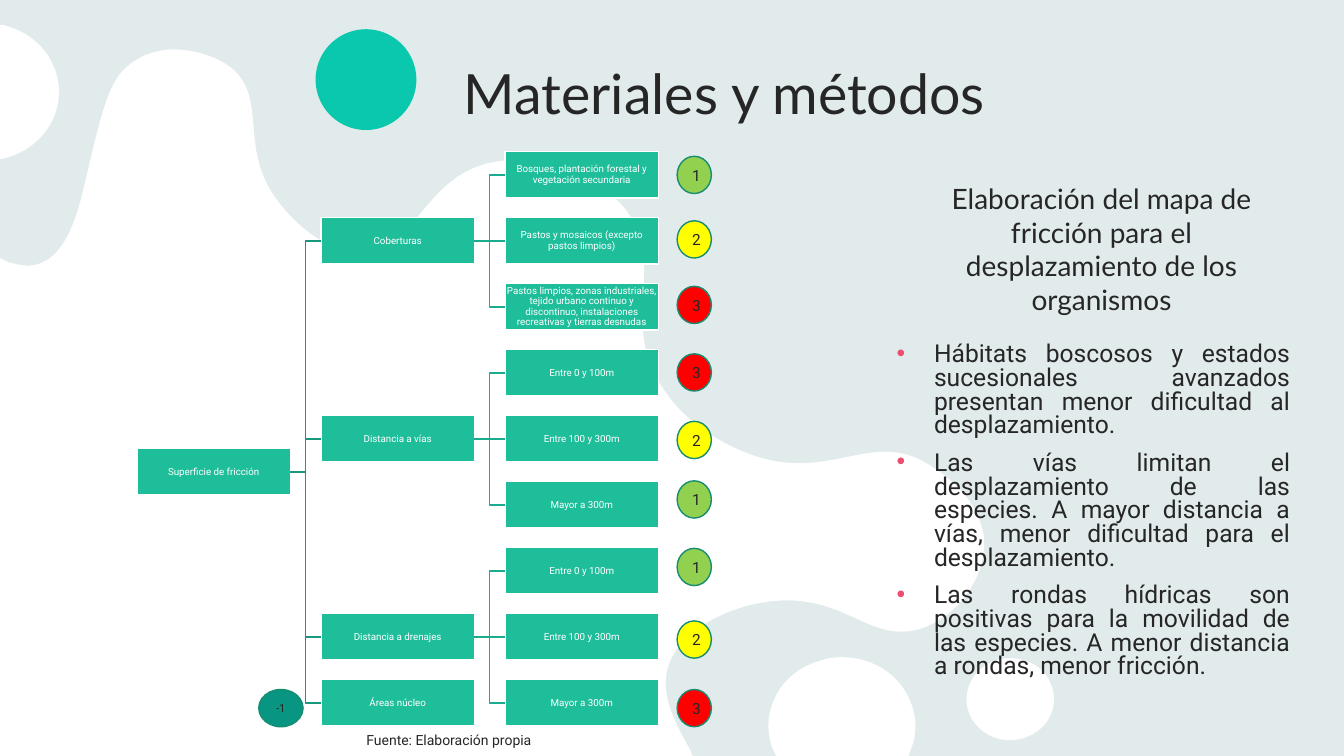
import pptx
import pptx.dml.color
import pptx.enum.shapes
import pptx.enum.text
import pptx.oxml
import pptx.oxml.ns
import pptx.util

SHAPES = pptx.enum.shapes.MSO_SHAPE
CONNECTORS = pptx.enum.shapes.MSO_CONNECTOR
ALIGN = pptx.enum.text.PP_ALIGN
ANCHOR = pptx.enum.text.MSO_ANCHOR
WIDTH, HEIGHT = pptx.util.Inches(13.33), pptx.util.Inches(7.5)
NAMESPACE = pptx.oxml.ns.nsdecls("a")

DARK, WHITE = "262626", "FFFFFF"
TREE_FILL, TRUNK, BRANCH, BADGE_LINE = "1EBE9B", "18987C", "1BAC8D", "168D73"
FRICTION_COLORS = {1: "92D050", 2: "FFFF00", 3: "FF0000"}

TREE_LEFT, TREE_TOP = 10.2, 20.08
COLUMN_STEP, ROW_STEP = 13.69, 8.73
NODE_WIDTH, NODE_HEIGHT = 11.4, 6.13

CATEGORIES = [
    ("Coberturas", 1, [
        (0, "Bosques, plantación forestal y vegetación secundaria"),
        (1, "Pastos y mosaicos (excepto pastos limpios)"),
        (2, "Pastos limpios, zonas industriales, tejido urbano continuo y "
            "discontinuo, instalaciones recreativas y tierras desnudas")]),
    ("Distancia a vías", 4, [
        (3, "Entre 0 y 100m"), (4, "Entre 100 y 300m"), (5, "Mayor a 300m")]),
    ("Distancia a drenajes", 7, [
        (6, "Entre 0 y 100m"), (7, "Entre 100 y 300m"), (8, "Mayor a 300m")]),
    ("Áreas núcleo", 8, []),
]
BADGES = [(1, 20.67), (2, 29.2), (3, 37.87), (3, 46.8), (2, 55.73),
          (1, 63.6), (1, 72.53), (2, 82.13), (3, 91.2)]
FINDINGS = [
    "Hábitats boscosos y estados sucesionales avanzados presentan menor "
    "dificultad al desplazamiento.",
    "Las vías limitan el desplazamiento de las especies. A mayor distancia a "
    "vías, menor dificultad para el desplazamiento.",
    "Las rondas hídricas son positivas para la movilidad de las especies. "
    "A menor distancia a rondas, menor fricción.",
]
BLOBS_TOP = 0.25
BLOBS = [
    [(9.97, 6.53), (10.12, 6.52, 10.27, 6.57, 10.36, 6.68),
     (10.41, 6.74, 10.44, 6.81, 10.45, 6.89), (10.48, 7.11, 10.31, 7.31, 10.07, 7.34),
     (9.84, 7.37, 9.62, 7.21, 9.59, 6.99), (9.56, 6.76, 9.73, 6.56, 9.97, 6.53)],
    [(8.35, 6.52), (8.58, 6.52, 8.8, 6.62, 8.94, 6.8),
     (8.98, 6.86, 9.02, 6.92, 9.04, 6.99), (9.09, 7.12, 9.09, 7.26, 9.05, 7.39),
     (9.01, 7.5), (7.7, 7.5), (7.66, 7.42), (7.53, 7.06, 7.74, 6.67, 8.12, 6.56),
     (8.2, 6.53, 8.27, 6.52, 8.35, 6.52)],
    [(1.7, 0.49), (1.91, 0.49, 2.13, 0.55, 2.29, 0.67),
     (2.67, 0.98, 2.35, 1.47, 2.76, 2), (2.81, 2.07, 3.16, 2.52, 3.59, 2.49),
     (4.15, 2.45, 4.2, 1.78, 4.84, 1.62), (5.29, 1.51, 5.88, 1.7, 6.18, 2.05),
     (6.65, 2.6, 6.1, 3.2, 6.6, 3.89), (6.94, 4.38, 7.53, 4.54, 7.58, 4.55),
     (8.27, 4.73, 8.66, 4.29, 9.18, 4.59), (9.28, 4.65, 9.63, 4.86, 9.73, 5.21),
     (9.75, 5.26, 9.76, 5.31, 9.76, 5.36), (9.78, 5.74, 9.48, 6.13, 9.12, 6.24),
     (8.63, 6.38, 8.39, 5.91, 7.71, 5.96), (7.36, 5.98, 6.84, 6.17, 6.66, 6.53),
     (6.51, 6.84, 6.68, 7.14, 6.85, 7.45), (6.87, 7.5), (0, 7.5), (0, 2.56),
     (0.08, 2.6), (0.19, 2.63, 0.29, 2.65, 0.38, 2.62),
     (0.67, 2.53, 0.78, 2.09, 0.85, 1.78), (1.04, 0.97, 1.1, 0.74, 1.36, 0.59),
     (1.45, 0.53, 1.57, 0.5, 1.7, 0.49)],
    [(0, 0.25), (0.04, 0.25), (0.07, 0.26), (0.22, 0.3, 0.35, 0.39, 0.44, 0.5),
     (0.49, 0.56, 0.52, 0.63, 0.55, 0.7), (0.67, 1.06, 0.47, 1.44, 0.08, 1.56),
     (0, 1.58)],
]


def color(value):
    return pptx.dml.color.RGBColor.from_string(value)


def area(left, top, width, height):
    return [round(share * size / 100) for share, size in
            ((left, WIDTH), (top, HEIGHT), (width, WIDTH), (height, HEIGHT))]


def paint(shape, fill, line=None):
    shape.shadow.inherit = False
    shape.fill.solid()
    shape.fill.fore_color.rgb = color(fill)
    if line:
        shape.line.color.rgb = color(line)
        shape.line.width = pptx.util.Pt(1)
    else:
        shape.line.fill.background()


def style(paragraph, size, font, text_color=DARK, align=ALIGN.CENTER, spacing=1.0):
    paragraph.alignment = align
    paragraph.line_spacing = spacing
    for run in paragraph.runs:
        run.font.size = pptx.util.Pt(size)
        run.font.name = font
        run.font.color.rgb = color(text_color)


def add_figure(slide, kind, place, fill, line=None, text="", size=11,
               text_color=DARK, spacing=1.0):
    shape = slide.shapes.add_shape(kind, *area(*place))
    paint(shape, fill, line)
    if text:
        frame = shape.text_frame
        frame.text = text
        frame.word_wrap = True
        frame.vertical_anchor = ANCHOR.MIDDLE
        style(frame.paragraphs[0], size, "Roboto", text_color, spacing=spacing)
    return shape


def add_text(slide, place, text, size, font, anchor=ANCHOR.TOP, spacing=1.0):
    frame = slide.shapes.add_textbox(*area(*place)).text_frame
    frame.word_wrap = True
    frame.vertical_anchor = anchor
    frame.text = text
    style(frame.paragraphs[0], size, font, spacing=spacing)
    return frame


def pairs(segment):
    return list(zip(segment[::2], segment[1::2]))


def in_emu(point):
    return tuple(pptx.util.Inches(value) for value in point)


def bend(line, segment):
    curve = pptx.oxml.parse_xml(f"<a:cubicBezTo {NAMESPACE}/>")
    for x, y in pairs(segment):
        x, y = in_emu((x, y - BLOBS_TOP))
        curve.append(pptx.oxml.parse_xml(f'<a:pt {NAMESPACE} x="{x}" y="{y}"/>'))
    line.getparent().replace(line, curve)


def add_blobs(slide):
    builder = slide.shapes.build_freeform(*in_emu(BLOBS[0][0]), scale=1.0)
    for index, blob in enumerate(BLOBS):
        if index:
            builder.move_to(*in_emu(blob[0]))
        builder.add_line_segments([in_emu(segment[-2:]) for segment in blob[1:]], close=True)
    shape = builder.convert_to_shape()
    paint(shape, WHITE)
    lines = shape._element.findall(".//" + pptx.oxml.ns.qn("a:lnTo"))
    segments = [segment for blob in BLOBS for segment in blob[1:]]
    for line, segment in zip(lines, segments):
        if len(segment) == 6:
            bend(line, segment)


def add_background(slide):
    slide.background.fill.solid()
    slide.background.fill.fore_color.rgb = color("E9F3F3")
    veil = add_figure(slide, SHAPES.RECTANGLE, (0, 0, 100, 100), "AEAEAE")
    shade = veil._element.spPr.find(".//" + pptx.oxml.ns.qn("a:srgbClr"))
    shade.append(pptx.oxml.parse_xml(f'<a:alpha {NAMESPACE} val="10000"/>'))
    add_blobs(slide)


def add_node(slide, column, row, text):
    place = (TREE_LEFT + column * COLUMN_STEP, TREE_TOP + row * ROW_STEP,
             NODE_WIDTH, NODE_HEIGHT)
    node = add_figure(slide, SHAPES.RECTANGLE, place, TREE_FILL, WHITE, text, 7, WHITE, 0.9)
    frame = node.text_frame
    frame.margin_left = frame.margin_right = frame.margin_top = frame.margin_bottom = 0
    return node


def join(slide, parent, child, line):
    kind = CONNECTORS.STRAIGHT if parent.top == child.top else CONNECTORS.ELBOW
    connector = slide.shapes.add_connector(kind, 0, 0, 0, 0)
    connector.begin_connect(parent, 3)
    connector.end_connect(child, 1)
    connector.line.color.rgb = color(line)
    connector.line.width = pptx.util.Pt(1)
    connector._element.spPr.append(pptx.oxml.parse_xml(f"<a:effectLst {NAMESPACE}/>"))


def add_tree(slide):
    root = add_node(slide, 0, 4.5, "Superficie de fricción")
    for name, row, leaves in CATEGORIES:
        category = add_node(slide, 1, row, name)
        join(slide, root, category, TRUNK)
        for leaf_row, leaf in leaves:
            join(slide, category, add_node(slide, 2, leaf_row, leaf), BRANCH)
    for value, top in BADGES:
        add_figure(slide, SHAPES.OVAL, (50.38, top, 2.55, 4.93),
                   FRICTION_COLORS[value], BADGE_LINE, str(value))
    add_figure(slide, SHAPES.OVAL, (19.25, 91.2, 3.3, 4.93), "089682", BADGE_LINE, "-1", 8)


def add_bullet(paragraph):
    properties = paragraph._p.get_or_add_pPr()
    indent = pptx.util.Inches(0.37)
    properties.set("marL", str(indent))
    properties.set("indent", str(-indent))
    for element in (f'<a:buClr {NAMESPACE}><a:srgbClr val="EC4E70"/></a:buClr>',
                    f'<a:buFont {NAMESPACE} typeface="Arial"/>',
                    f'<a:buChar {NAMESPACE} char="•"/>'):
        properties.append(pptx.oxml.parse_xml(element))


def add_findings(slide):
    frame = add_text(slide, (65.98, 44.85, 30.76, 50.27), "\n".join(FINDINGS), 17.6, "Roboto")
    for index, paragraph in enumerate(frame.paragraphs):
        add_bullet(paragraph)
        style(paragraph, 17.6, "Roboto", align=ALIGN.JUSTIFY, spacing=0.8)
        if index:
            paragraph.space_before = pptx.util.Pt(10)


def main():
    presentation = pptx.Presentation()
    presentation.slide_width, presentation.slide_height = WIDTH, HEIGHT
    slide = presentation.slides.add_slide(presentation.slide_layouts[6])
    add_background(slide)
    add_text(slide, (67.22, 22.05, 29.48, 20.4),
             "Elaboración del mapa de fricción para el desplazamiento de los organismos",
             20, "Lato", ANCHOR.BOTTOM)
    add_text(slide, (12.75, 8.13, 82.3, 9.07), "Materiales y métodos",
             39.6, "Lato", ANCHOR.BOTTOM, 0.8)
    add_figure(slide, SHAPES.OVAL, (23.48, 3.87, 7.5, 13.33), "0AC8AD")
    add_text(slide, (9.5, 96.13, 47.79, 3.6), "Fuente: Elaboración propia", 10, "Roboto")
    add_tree(slide)
    add_findings(slide)
    presentation.save("out.pptx")


if __name__ == "__main__":
    main()
